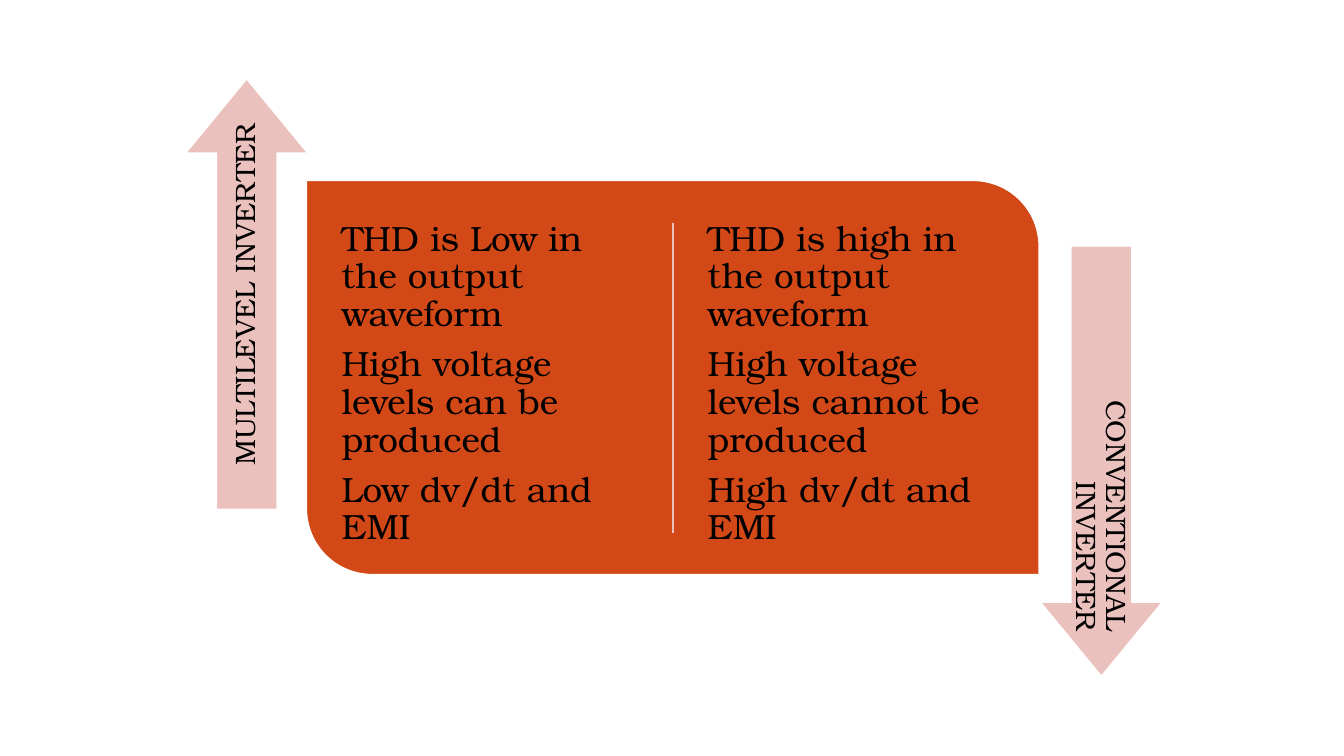
from lxml import etree
from pptx import Presentation
from pptx.dml.color import RGBColor
from pptx.enum.shapes import MSO_CONNECTOR, MSO_SHAPE
from pptx.enum.text import MSO_ANCHOR, PP_ALIGN
from pptx.oxml.ns import qn
from pptx.util import Pt

ORANGE = RGBColor(0xD3, 0x48, 0x17)
PINK = RGBColor(0xEA, 0xC1, 0xBD)
WHITE = RGBColor(0xFF, 0xFF, 0xFF)
BLACK = RGBColor(0x00, 0x00, 0x00)
FONT = "TeX Gyre Bonum"
ARROW = MSO_SHAPE.RIGHT_ARROW
PANEL = MSO_SHAPE.ROUND_2_DIAG_RECTANGLE
LINE = MSO_CONNECTOR.STRAIGHT
TOP, MIDDLE = MSO_ANCHOR.TOP, MSO_ANCHOR.MIDDLE
LEFT, RIGHT = PP_ALIGN.LEFT, PP_ALIGN.RIGHT

deck = Presentation()
deck.slide_width, deck.slide_height = Pt(960), Pt(540)
slide = deck.slides.add_slide(deck.slide_layouts[6])


def add_form(kind, box, fill, adjust, turn=0):
    form = slide.shapes.add_shape(kind, *map(Pt, box))
    form.shadow.inherit = False
    form.fill.solid()
    form.fill.fore_color.rgb = fill
    form.line.color.rgb = WHITE
    form.line.width = Pt(1)
    form.rotation = turn
    for i, value in enumerate(adjust):
        form.adjustments[i] = value


def add_text(lines, box, size, inset, align=LEFT, anchor=TOP, turn=0):
    label = slide.shapes.add_textbox(*map(Pt, box))
    label.rotation = turn
    frame = label.text_frame
    frame.word_wrap = True
    frame.vertical_anchor = anchor
    frame.margin_left = frame.margin_right = Pt(inset)
    frame.margin_top = frame.margin_bottom = Pt(inset)
    frame.text = "\n".join(lines)
    for para in frame.paragraphs:
        para.alignment = align
        para.line_spacing = 0.9
        para.space_after = Pt(size * 0.35)
        para.font.size = Pt(size)
        para.font.name = FONT
        para.font.color.rgb = BLACK


add_form(PANEL, (218.9, 128.9, 523.4, 281.5), ORANGE, (0, 0.167))

middle = Pt(480.8)
divider = slide.shapes.add_connector(LINE, middle, Pt(159.1), middle, Pt(380.9))
divider.line.color.rgb = PINK
divider.line.width = Pt(1)
etree.SubElement(divider._element.spPr, qn("a:effectLst"))

columns = [
    (236.9, ["THD is Low in the output waveform",
             "High voltage levels can be produced",
             "Low dv/dt and EMI"]),
    (498.4, ["THD is high in the output waveform",
             "High voltage levels cannot be produced",
             "High dv/dt and EMI"]),
]
for left, points in columns:
    add_text(points, (left, 150.5, 226.8, 239), 25, 7.2)

# Each box is given before its quarter turn
arrows = [
    ("MULTILEVEL INVERTER", 270, (22.5, 166.5), (35.3, 201.6)),
    ("CONVENTIONAL INVERTER", 90, (633, 285.8), (645.8, 294.5)),
]
for name, turn, corner, start in arrows:
    add_form(ARROW, (*corner, 307.4, 87.1), PINK, (0.498, 0.607), turn)
    add_text([name], (*start, 280.8, 43.2), 20, 5.8, RIGHT, MIDDLE, turn)

deck.save("out.pptx")
